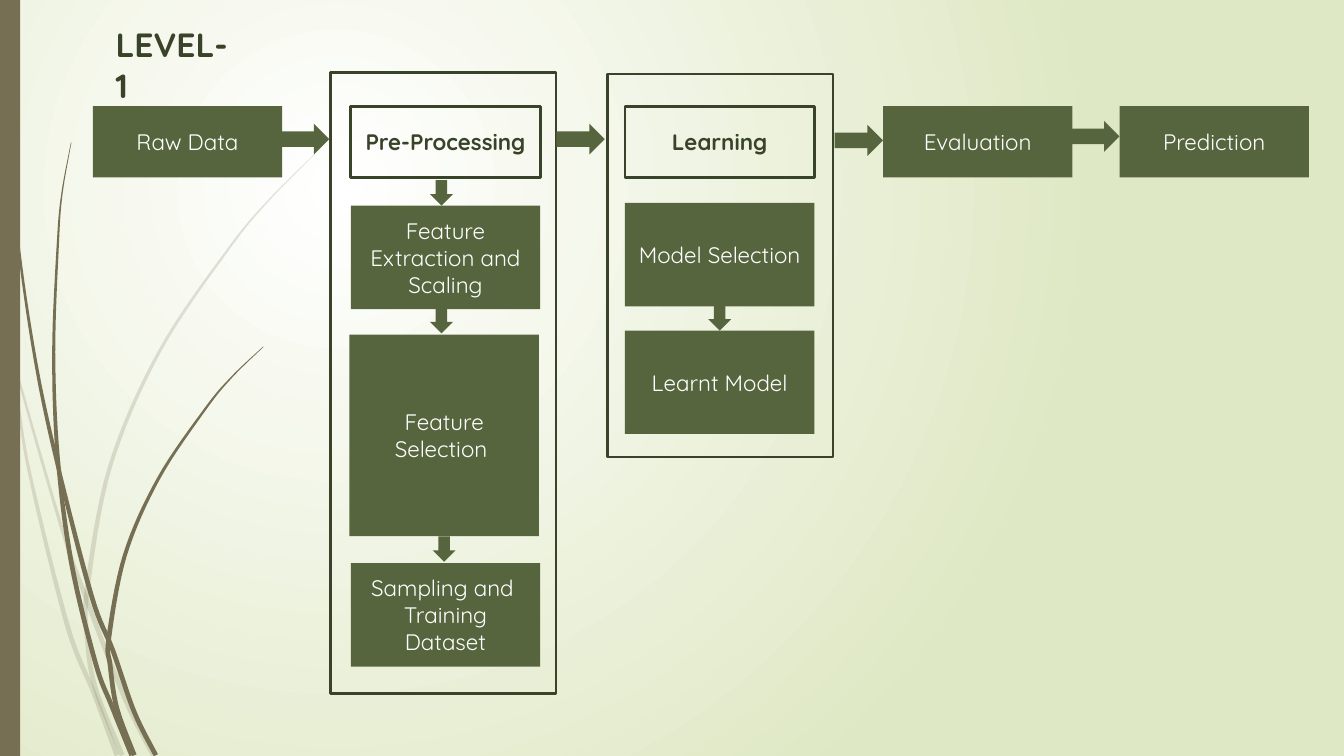
from dataclasses import dataclass
from math import hypot
from typing import Optional

from lxml import etree
from pptx import Presentation
from pptx.dml.color import RGBColor as Rgb
from pptx.enum.shapes import MSO_SHAPE as Kind
from pptx.enum.text import MSO_ANCHOR as Anchor, PP_ALIGN as Align
from pptx.oxml.ns import qn
from pptx.util import Inches, Pt


@dataclass(frozen=True)
class Theme:
    font: str = "Quicksand"
    green: str = "56653E"
    dark: str = "39432A"
    brown: str = "766F54"
    pale: str = "DFE8C4"
    white: str = "FFFFFF"
    title: int = 18
    body: int = 12
    edge: float = 1.5
    rim: float = 1.25


@dataclass(frozen=True)
class Box:
    x: float
    y: float
    w: float
    h: float
    text: str = ""
    filled: bool = True
    line: float = 0


@dataclass(frozen=True)
class Blade:
    points: list[tuple[float, float]]
    alpha: Optional[int] = None
    width: float = 0.035


THEME = Theme()
WIDE, ROW, STEP = 1.41, 0.53, 0.77
TOP, PREP, LEARN = 0.79, 2.61, 4.65

BLADES = [
    Blade([(0, 2.17), (0.08, 2.6), (0.45, 3.9), (0.64, 4.45),
           (0.93, 5.2), (1.14, 5.62)], 20),
    Blade([(0.08, 2.63), (0.13, 2.95), (0.22, 3.52), (0.5, 4.65),
           (0.7, 5.16), (0.87, 5.62)], 20),
    Blade([(2.34, 1.15), (2.01, 1.48), (1.71, 1.84), (1.19, 2.61),
           (0.82, 3.47), (0.65, 4.38), (0.65, 4.75), (0.71, 5.12),
           (0.91, 5.62)], 20),
    Blade([(0.03, 0), (0.06, 0.82), (0.13, 1.75), (0.26, 2.66),
           (0.42, 3.42), (0.68, 4.43), (0.84, 4.84), (1, 5.3),
           (1.16, 5.62)]),
    Blade([(0.53, 1.06), (0.46, 1.45), (0.43, 1.83), (0.4, 2.62),
           (0.43, 3.4), (0.53, 4.18), (0.71, 4.93), (0.83, 5.25),
           (0.98, 5.62)]),
    Blade([(1.96, 2.58), (1.73, 2.8), (1.53, 3.04), (1.18, 3.56),
           (0.93, 4.13), (0.81, 4.75), (0.82, 4.95), (0.87, 5.27),
           (1, 5.62)]),
]

BOXES = [
    Box(0.69, TOP, WIDE, ROW, "Raw Data"),
    Box(PREP, TOP, WIDE, ROW, "Pre-Processing", False, THEME.edge),
    Box(LEARN, TOP, WIDE, ROW, "Learning", False, THEME.edge),
    Box(6.57, TOP, WIDE, ROW, "Evaluation"),
    Box(8.33, TOP, WIDE, ROW, "Prediction"),
    Box(PREP, 1.53, WIDE, STEP, "Feature Extraction and Scaling"),
    Box(2.6, 2.49, WIDE, 1.5, "Feature Selection "),
    Box(PREP, 4.19, WIDE, STEP, "Sampling and \nTraining Dataset"),
    Box(2.46, 0.54, 1.68, 4.62, "", False, THEME.rim),
    Box(4.52, 0.55, 1.68, 2.85, "", False, THEME.rim),
    Box(LEARN, 1.51, WIDE, STEP, "Model Selection"),
    Box(LEARN, 2.46, WIDE, STEP, "Learnt Model"),
]

RIGHT = [(2.09, 0.92), (4.14, 0.92), (6.21, 0.93), (7.97, 0.9)]
DOWN = [(3.2, 1.34), (3.2, 2.29), (3.22, 3.99), (5.27, 2.27)]


def paint(shape, color: str) -> None:
    shape.shadow.inherit = False
    shape.fill.solid()
    shape.fill.fore_color.rgb = Rgb.from_string(color)
    shape.line.fill.background()


def style(para, size: int, color: str, bold: bool, align) -> None:
    para.alignment = align
    para.font.name = THEME.font
    para.font.size = Pt(size)
    para.font.bold = bold
    para.font.color.rgb = Rgb.from_string(color)


def shade(slide) -> None:
    fill = slide.background.fill
    fill.gradient()
    for stop, color in zip(fill.gradient_stops, (THEME.white, THEME.pale)):
        stop.color.rgb = Rgb.from_string(color)
    grad = slide.element.find(".//" + qn("a:gradFill"))
    old = grad.find(qn("a:lin"))
    way = etree.Element(qn("a:path"), path="circle")
    etree.SubElement(way, qn("a:fillToRect"),
                     l="50000", t="50000", r="100000", b="100000")
    grad.replace(old, way)


def smooth(points: list[tuple[float, float]], steps: int = 8) -> list[tuple[float, float]]:
    ends = [points[0], *points, points[-1]]
    curve = []
    for a, b, c, d in zip(ends, ends[1:], ends[2:], ends[3:]):
        for i in range(steps):
            t = i / steps
            curve.append(tuple(
                (2 * q + (r - p) * t + (2 * p - 5 * q + 4 * r - s) * t ** 2
                 + (3 * q - p - 3 * r + s) * t ** 3) / 2
                for p, q, r, s in zip(a, b, c, d)))
    return curve + [points[-1]]


def draw_blade(slide, blade: Blade) -> None:
    curve = smooth(blade.points)
    last = len(curve) - 1
    left, right = [], []
    for i, (x, y) in enumerate(curve):
        x0, y0 = curve[max(i - 1, 0)]
        x1, y1 = curve[min(i + 1, last)]
        half = blade.width / 2 * min(1, 0.1 + 1.5 * i / last)
        size = hypot(x1 - x0, y1 - y0)
        dx, dy = (y0 - y1) / size * half, (x1 - x0) / size * half
        left.append((Inches(x + dx), Inches(y + dy)))
        right.append((Inches(x - dx), Inches(y - dy)))
    first, *rest = left + right[::-1]
    pen = slide.shapes.build_freeform(*first)
    pen.add_line_segments(rest, close=True)
    shape = pen.convert_to_shape()
    paint(shape, THEME.brown)
    if blade.alpha:
        tint = shape.element.spPr.find(qn("a:solidFill"))[0]
        etree.SubElement(tint, qn("a:alpha"), val=str(blade.alpha * 1000))


def draw_box(slide, box: Box) -> None:
    shape = slide.shapes.add_shape(
        Kind.RECTANGLE, *map(Inches, (box.x, box.y, box.w, box.h)))
    paint(shape, THEME.green)
    if not box.filled:
        shape.fill.background()
        shape.line.color.rgb = Rgb.from_string(THEME.dark)
        shape.line.width = Pt(box.line)
    if box.text:
        frame = shape.text_frame
        frame.text = box.text
        frame.word_wrap = True
        frame.vertical_anchor = Anchor.MIDDLE
        color = THEME.white if box.filled else THEME.dark
        for para in frame.paragraphs:
            style(para, THEME.body, color, not box.filled, Align.CENTER)


def draw_arrow(slide, kind, x: float, y: float, w: float, h: float) -> None:
    paint(slide.shapes.add_shape(kind, *map(Inches, (x, y, w, h))), THEME.green)


def set_title(slide, text: str) -> None:
    title = slide.shapes.title
    title.left, title.top, title.width, title.height = map(
        Inches, (0.76, 0.13, 1.11, 0.4))
    frame = title.text_frame
    frame.text = text
    frame.word_wrap = True
    frame.vertical_anchor = Anchor.TOP
    style(frame.paragraphs[0], THEME.title, THEME.dark, True, Align.LEFT)


def main() -> None:
    deck = Presentation()
    deck.slide_width = Inches(10)
    deck.slide_height = deck.slide_width * 9 // 16
    slide = deck.slides.add_slide(deck.slide_layouts[5])
    shade(slide)
    for blade in BLADES:
        draw_blade(slide, blade)
    bar = slide.shapes.add_shape(Kind.RECTANGLE, 0, 0, Inches(0.15), deck.slide_height)
    paint(bar, THEME.brown)
    set_title(slide, "LEVEL-1")
    for box in BOXES:
        draw_box(slide, box)
    for x, y in RIGHT:
        draw_arrow(slide, Kind.RIGHT_ARROW, x, y, 0.36, 0.23)
    for x, y in DOWN:
        draw_arrow(slide, Kind.DOWN_ARROW, x, y, 0.17, 0.19)
    deck.save("out.pptx")


if __name__ == "__main__":
    main()
